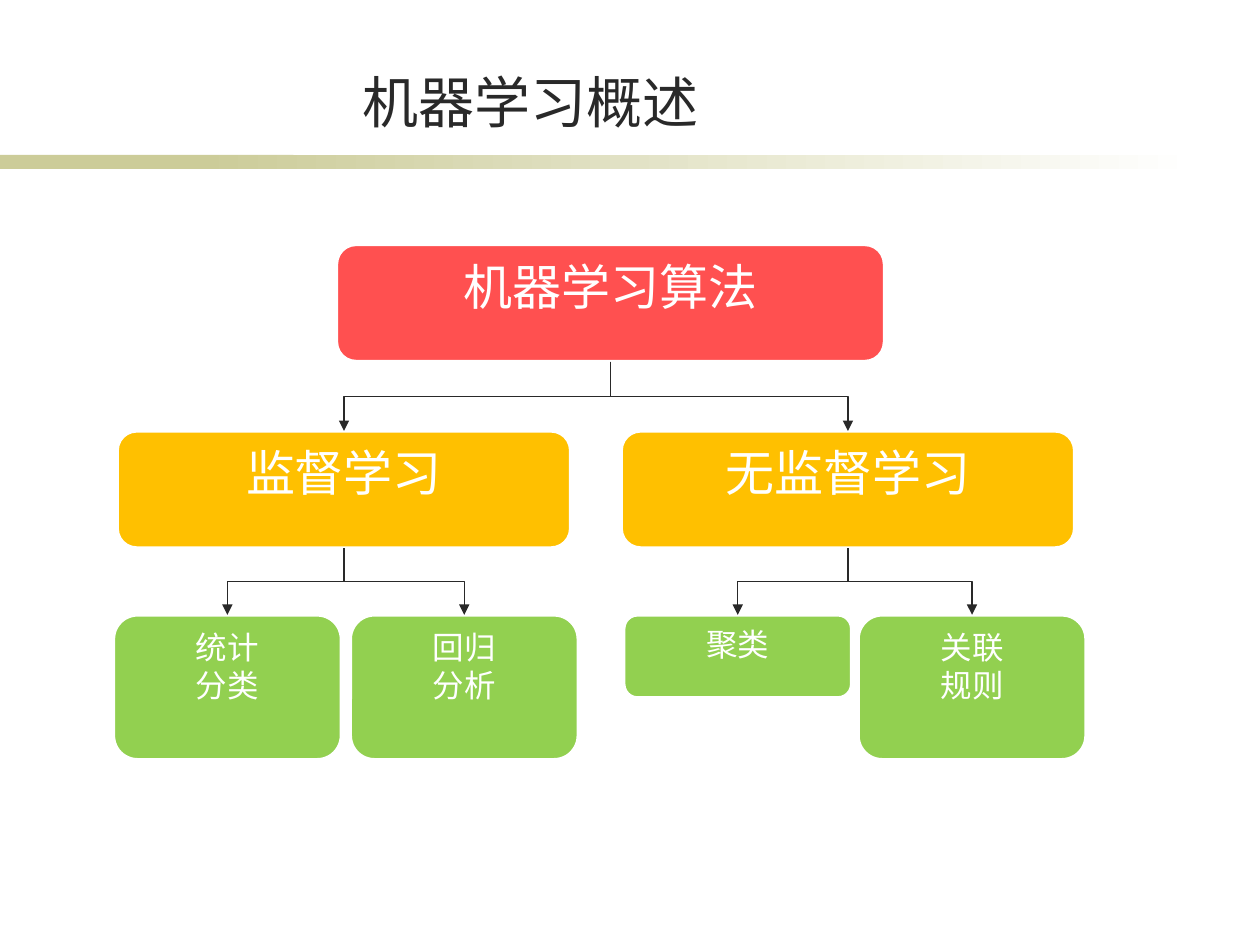
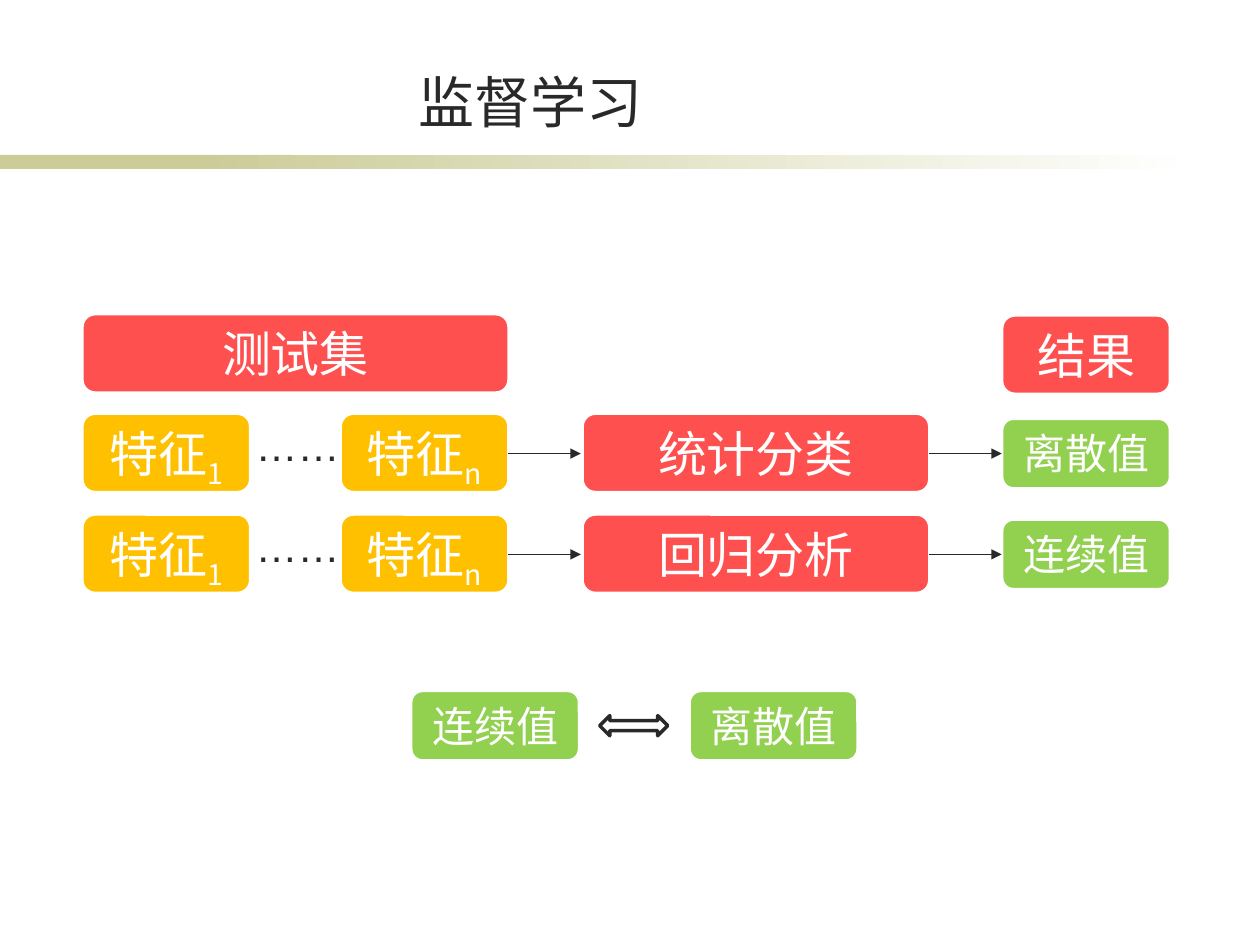
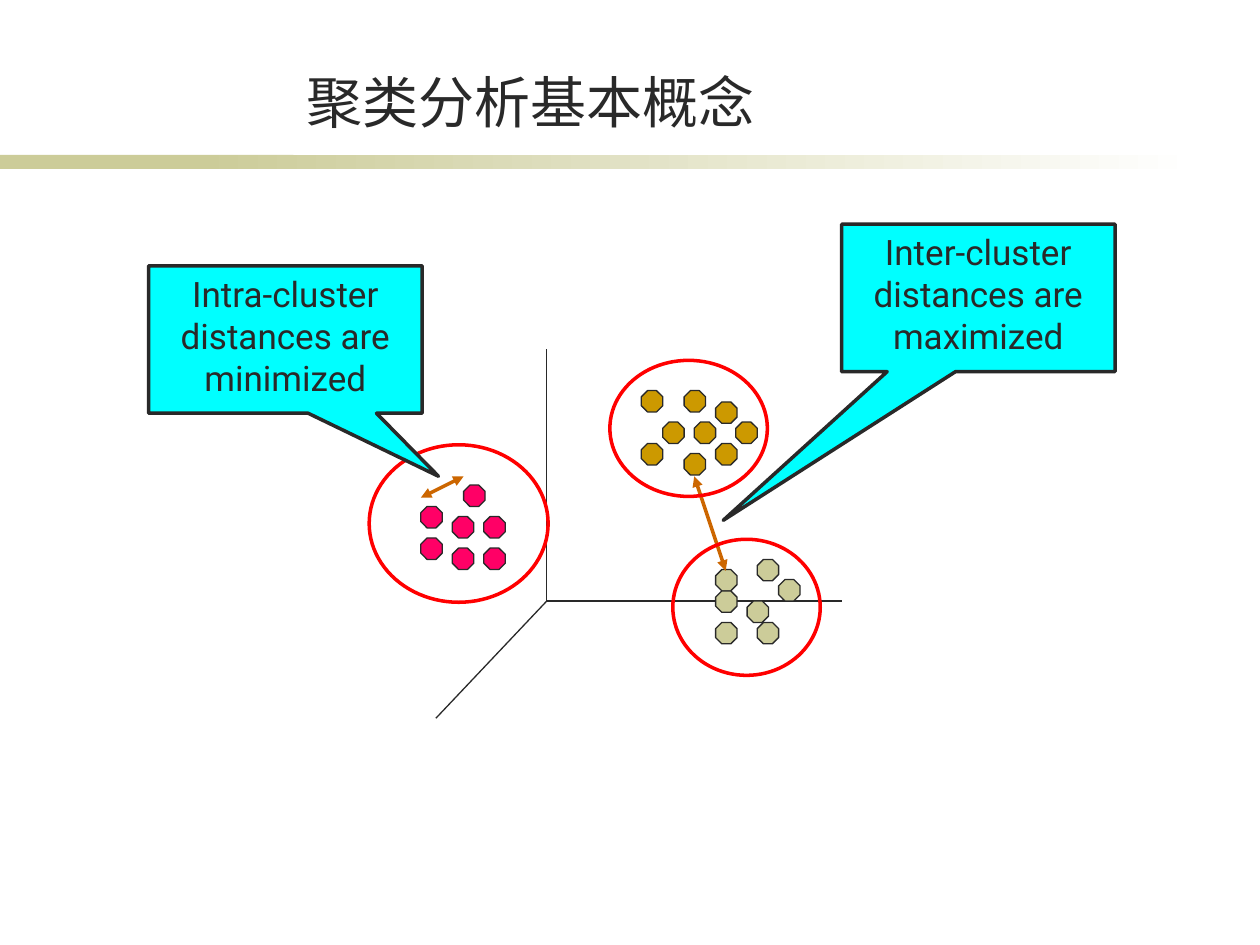
from dataclasses import dataclass
from typing import NamedTuple

from lxml.etree import SubElement
from pptx import Presentation
from pptx.dml.color import RGBColor
from pptx.enum.shapes import MSO_CONNECTOR, MSO_SHAPE
from pptx.enum.text import MSO_ANCHOR, PP_ALIGN
from pptx.oxml.ns import qn
from pptx.util import Inches, Pt


@dataclass(frozen=True)
class Theme:
    ink: str = "292929"
    white: str = "FFFFFF"
    red: str = "FF5050"
    gold: str = "FFC000"
    green: str = "92D050"
    olive: str = "CCCC99"
    ochre: str = "CC9900"
    pink: str = "FF0066"
    rust: str = "CC6600"
    cyan: str = "00FFFF"
    ring: str = "FF0000"
    latin: str = "Arial"
    asian: str = "Noto Sans CJK SC"
    note: str = "Roboto"
    title: int = 32
    large: int = 28
    mid: int = 24
    call: int = 20
    small: int = 18
    thin: float = 0.75
    thick: float = 2


T = Theme()


class Box(NamedTuple):
    x: float
    y: float
    w: float
    h: float


class Node(NamedTuple):
    text: str
    box: Box
    fill: str
    size: int = T.large
    sub: str = ""

    @property
    def mid(self) -> float:
        return self.box.x + self.box.w / 2

    @property
    def base(self) -> float:
        return self.box.y + self.box.h


class Group(NamedTuple):
    fill: str
    dots: list[tuple[float, float]]


class Callout(NamedTuple):
    text: str
    box: Box
    tip: tuple[float, float]


def color(code: str) -> RGBColor:
    return RGBColor.from_string(code)


def write(shape, text: str, *, size: float, font: str = T.asian, ink: str = T.white,
          align=PP_ALIGN.CENTER, anchor=MSO_ANCHOR.TOP, wrap: bool = True, sub: str = "") -> None:
    frame = shape.text_frame
    frame.word_wrap = wrap
    frame.vertical_anchor = anchor
    for index, words in enumerate(text.split("\n")):
        para = frame.paragraphs[0] if index == 0 else frame.add_paragraph()
        para.alignment = align
        for part, shift in ((words, None), (sub, "-25000")):
            if not part:
                continue
            run = para.add_run()
            run.text = part
            run.font.size = Pt(size)
            run.font.name = font
            run.font.color.rgb = color(ink)
            props = run._r.get_or_add_rPr()
            SubElement(props, qn("a:ea")).set("typeface", T.asian)
            if shift:
                props.set("baseline", shift)


def draw(slide, kind, box: Box, *, fill: str = "", line: str = "", width: float = T.thick):
    shape = slide.shapes.add_shape(kind, *map(Inches, box))
    shape.shadow.inherit = False
    if fill:
        shape.fill.solid()
        shape.fill.fore_color.rgb = color(fill)
    else:
        shape.fill.background()
    if line:
        shape.line.color.rgb = color(line)
        shape.line.width = Pt(width)
    else:
        shape.line.fill.background()
    return shape


def link(slide, start: tuple[float, float], end: tuple[float, float], *, kind=MSO_CONNECTOR.STRAIGHT,
         ink: str = T.ink, width: float = T.thin, heads: tuple[str, ...] = ()):
    wire = slide.shapes.add_connector(kind, *map(Inches, (*start, *end)))
    wire.line.color.rgb = color(ink)
    wire.line.width = Pt(width)
    for head in heads:
        SubElement(wire.line._get_or_add_ln(), qn(f"a:{head}")).set("type", "triangle")
    SubElement(wire.element.spPr, qn("a:effectLst"))
    return wire


def branch(slide, top: Node, low: Node) -> None:
    drop, span = low.box.y - top.base, abs(low.mid - top.mid)
    x = (top.mid + low.mid - drop) / 2
    y = (top.base + low.box.y - span) / 2
    wire = link(slide, (x, y), (x + drop, y + span), kind=MSO_CONNECTOR.ELBOW, heads=("tailEnd",))
    frame = wire.element.spPr.find(qn("a:xfrm"))
    if low.mid < top.mid:
        frame.set("rot", "5400000")
    else:
        frame.set("rot", "16200000")
        frame.set("flipH", "1")


def place(slide, node: Node) -> None:
    shape = draw(slide, MSO_SHAPE.ROUNDED_RECTANGLE, node.box, fill=node.fill, line=T.white)
    write(shape, node.text, size=node.size, sub=node.sub)


def label(slide, text: str, box: Box, **style):
    shape = slide.shapes.add_textbox(*map(Inches, box))
    write(shape, text, font=T.latin, ink=T.ink, **style)
    return shape


def start(deck, title: str):
    slide = deck.slides.add_slide(deck.slide_layouts[6])
    draw(slide, MSO_SHAPE.RECTANGLE, Box(0, 1.23, 2.33, 0.11), fill=T.olive)
    fade = draw(slide, MSO_SHAPE.RECTANGLE, Box(1.58, 1.23, 7.92, 0.11))
    fade.fill.gradient()
    fade.fill.gradient_angle = 0
    for stop, code in zip(fade.fill.gradient_stops, (T.olive, T.white)):
        stop.color.rgb = color(code)
    head = label(slide, title, Box(1.14, 0.44, 6.14, 0.63), size=T.title, anchor=MSO_ANCHOR.BOTTOM)
    head.text_frame.margin_bottom = 0
    return slide


def draw_tree(deck) -> None:
    slide = start(deck, "机器学习概述")
    root = Node("机器学习算法", Box(2.67, 1.94, 4.35, 0.93), T.red)
    kinds = [Node(text, Box(x, 3.42, 3.6, 0.93), T.gold)
             for text, x in (("监督学习", 0.93), ("无监督学习", 4.93))]
    leaves = [Node(text, Box(x, 4.88, 1.81, h), T.green, T.small)
              for text, x, h in (("统计\n分类", 0.9, 1.15), ("回归\n分析", 2.78, 1.15),
                                 ("聚类", 4.95, 0.66), ("关联\n规则", 6.81, 1.15))]
    for node in (root, *kinds, *leaves):
        place(slide, node)
    for index, kind in enumerate(kinds):
        branch(slide, root, kind)
        for leaf in leaves[2 * index:2 * index + 2]:
            branch(slide, kind, leaf)


def draw_flow(deck) -> None:
    slide = start(deck, "监督学习")
    place(slide, Node("测试集", Box(0.65, 2.49, 3.39, 0.63), T.red))
    place(slide, Node("结果", Box(7.95, 2.5, 1.34, 0.63), T.red))
    for y, method, value in ((3.28, "统计分类", "离散值"), (4.08, "回归分析", "连续值")):
        for x, sub in ((0.65, "1"), (2.7, "n")):
            place(slide, Node("特征", Box(x, y, 1.34, 0.63), T.gold, sub=sub))
        place(slide, Node(method, Box(4.62, y, 2.76, 0.63), T.red))
        place(slide, Node(value, Box(7.95, y + 0.04, 1.34, 0.56), T.green, T.mid))
        label(slide, "……", Box(1.93, y, 0.88, 0.51), size=T.mid, align=PP_ALIGN.LEFT, wrap=False)
        for x in (4.03, 7.37):
            link(slide, (x, y + 0.32), (x + 0.58, y + 0.32), kind=MSO_CONNECTOR.ELBOW, heads=("tailEnd",))
    for text, x in (("离散值", 5.47), ("连续值", 3.26)):
        place(slide, Node(text, Box(x, 5.48, 1.34, 0.56), T.green, T.mid))
    draw(slide, MSO_SHAPE.LEFT_RIGHT_ARROW, Box(4.76, 5.68, 0.54, 0.16), fill=T.white, line=T.ink)


def call(slide, item: Callout) -> None:
    shape = draw(slide, MSO_SHAPE.RECTANGULAR_CALLOUT, item.box, fill=T.cyan, line=T.ink)
    box = item.box
    shape.adjustments[0] = (item.tip[0] - box.x) / box.w - 0.5
    shape.adjustments[1] = (item.tip[1] - box.y) / box.h - 0.5
    write(shape, item.text, size=T.call, font=T.note, ink=T.ink)


def span(slide, first: tuple[float, float], last: tuple[float, float]) -> None:
    link(slide, first, last, ink=T.rust, width=T.thick, heads=("headEnd", "tailEnd"))


def draw_groups(deck) -> None:
    slide = start(deck, "聚类分析基本概念")
    for end in ((4.34, 2.77), (6.68, 4.77), (3.46, 5.7)):
        link(slide, (4.34, 4.77), end)
    groups = [
        Group(T.ochre, [(5.26, 3.35), (5.51, 3.35), (5.43, 3.1), (5.43, 3.6), (5.84, 3.35),
                        (5.68, 3.19), (5.09, 3.1), (5.68, 3.52), (5.09, 3.52)]),
        Group(T.pink, [(3.34, 4.02), (3.59, 4.1), (3.59, 4.35), (3.84, 4.1), (3.68, 3.85),
                       (3.84, 4.35), (3.34, 4.27)]),
        Group(T.olive, [(5.68, 4.52), (6.18, 4.6), (5.93, 4.77), (5.68, 4.94), (6.01, 4.94),
                        (5.68, 4.69), (6.01, 4.44)]),
    ]
    for group in groups:
        for x, y in group.dots:
            draw(slide, MSO_SHAPE.OCTAGON, Box(x, y, 0.17, 0.17), fill=group.fill, line=T.ink, width=T.thin)
    span(slide, (5.76, 4.53), (5.51, 3.78))
    call(slide, Callout("Inter-cluster distances are maximized", Box(6.68, 1.78, 2.17, 1.17), (5.74, 4.13)))
    for ring in (Box(2.93, 3.53, 1.42, 1.25), Box(4.84, 2.86, 1.25, 1.08), Box(5.34, 4.28, 1.17, 1.08)):
        draw(slide, MSO_SHAPE.OVAL, ring, line=T.ring)
    span(slide, (3.34, 3.95), (3.68, 3.78))
    call(slide, Callout("Intra-cluster distances are minimized", Box(1.18, 2.11, 2.17, 1.17), (3.48, 3.78)))


def main() -> None:
    deck = Presentation()
    deck.slide_width, deck.slide_height = Inches(10), Inches(7.5)
    for build in (draw_tree, draw_flow, draw_groups):
        build(deck)
    deck.save("out.pptx")


if __name__ == "__main__":
    main()
